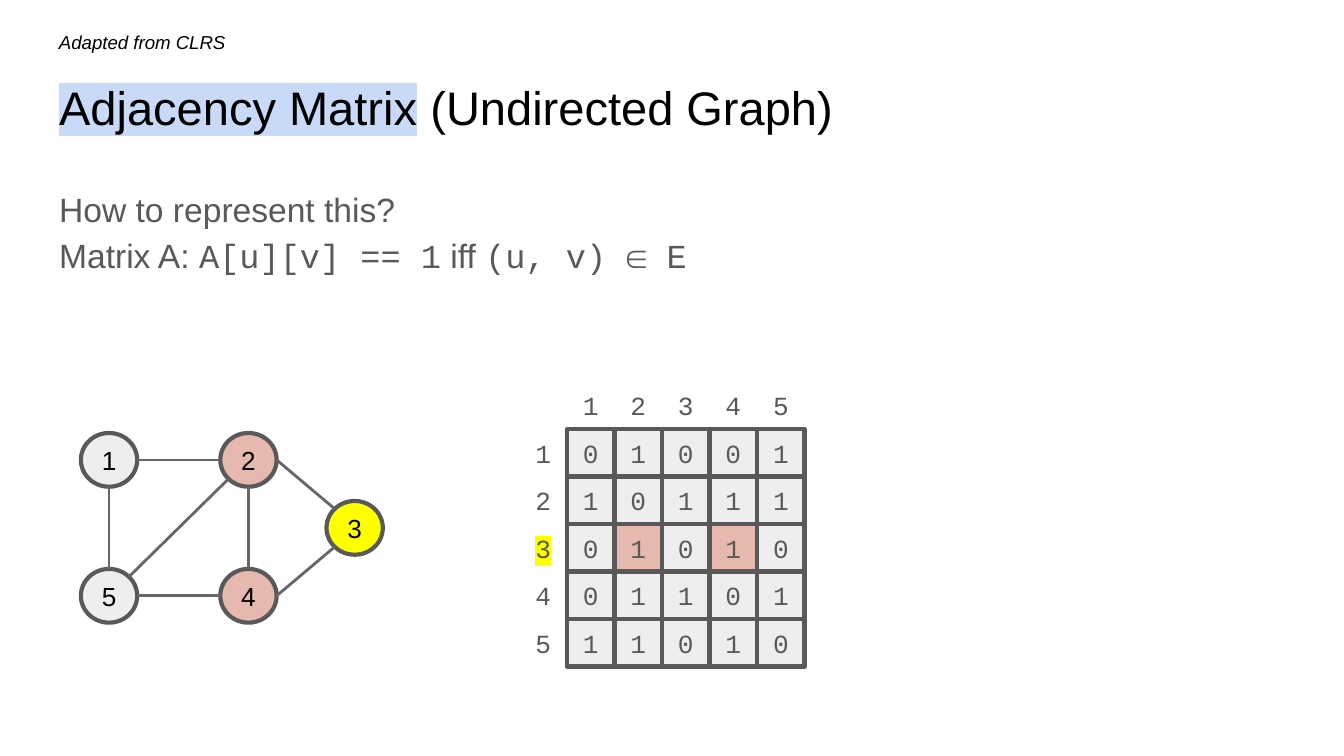
from math import sqrt

from lxml import etree
from pptx import Presentation
from pptx.dml.color import RGBColor
from pptx.enum.shapes import MSO_CONNECTOR, MSO_SHAPE
from pptx.enum.text import MSO_ANCHOR, MSO_AUTO_SIZE, PP_ALIGN
from pptx.oxml.ns import qn
from pptx.util import Pt

OVAL, SQUARE = MSO_SHAPE.OVAL, MSO_SHAPE.RECTANGLE
STRAIGHT = MSO_CONNECTOR.STRAIGHT
TOP, MIDDLE = MSO_ANCHOR.TOP, MSO_ANCHOR.MIDDLE
LEFT, CENTER = PP_ALIGN.LEFT, PP_ALIGN.CENTER
NO_AUTOFIT = MSO_AUTO_SIZE.NONE

BLACK = RGBColor(0x00, 0x00, 0x00)
DARK_GRAY = RGBColor(0x59, 0x59, 0x59)
EDGE_GRAY = RGBColor(0x66, 0x66, 0x66)
LIGHT_GRAY = RGBColor(0xEE, 0xEE, 0xEE)
PINK = RGBColor(0xE6, 0xB8, 0xAF)
YELLOW = RGBColor(0xFF, 0xFF, 0x00)
PALE_BLUE = RGBColor(0xC9, 0xDA, 0xF8)

SANS, MONO = "Arial", "Courier New"
TITLE_FONT = {"name": SANS, "size": Pt(25.2)}
SOURCE_FONT = {"name": SANS, "size": Pt(10), "italic": True}
BODY_FONT = {"name": SANS, "size": Pt(18)}
CODE_FONT = {"name": MONO, "size": Pt(18)}
NODE_FONT = {"name": SANS, "size": Pt(14)}
CELL_FONT = {"name": MONO, "size": Pt(14)}

MARGIN, CONTENT_WIDTH, INSET = 24.5, 671, 7.2
NODE_WIDTH, NODE_HEIGHT = 30.2, 28.8
CELL, MATRIX_LEFT, MATRIX_TOP = 25.45, 303.8, 229.9

NODE_CENTERS = {
    1: (58.4, 246.4),
    2: (133.1, 246.4),
    3: (190, 282.8),
    4: (133.1, 319.2),
    5: (58.4, 319.2),
}
EDGES = {
    (1, 2): ("right", "left"),
    (1, 5): ("bottom", "top"),
    (2, 5): ("bottom left", "top right"),
    (4, 5): ("left", "right"),
    (2, 4): ("bottom", "top"),
    (3, 4): ("bottom left", "right"),
    (2, 3): ("right", "top left"),
}
DIRECTIONS = {"left": (-1, 0), "right": (1, 0), "top": (0, -1), "bottom": (0, 1)}
CURRENT = 3


def adjacent(u, v):
    return (u, v) in EDGES or (v, u) in EDGES


def apply_format(target, values):
    for attribute, value in values.items():
        setattr(target, attribute, value)


def add_run(paragraph, text, font, color, highlight=None):
    run = paragraph.add_run()
    run.text = text
    apply_format(run.font, font)
    run.font.color.rgb = color
    if highlight is not None:
        mark = etree.Element(qn("a:highlight"))
        etree.SubElement(mark, qn("a:srgbClr")).set("val", str(highlight))
        run.font.fill  
        run._r.rPr.find(qn("a:solidFill")).addnext(mark)


def format_frame(frame, inset, anchor, alignment):
    sides = ("margin_left", "margin_top", "margin_right", "margin_bottom")
    apply_format(frame, dict.fromkeys(sides, Pt(inset)))
    apply_format(frame, {"word_wrap": True, "auto_size": NO_AUTOFIT, "vertical_anchor": anchor})
    paragraph = frame.paragraphs[0]
    apply_format(paragraph, {"alignment": alignment, "space_before": Pt(0)})
    return paragraph


def place_text(holder, top, height):
    box = {"left": MARGIN, "top": top, "width": CONTENT_WIDTH, "height": height}
    apply_format(holder, {side: Pt(length) for side, length in box.items()})
    return format_frame(holder.text_frame, INSET, TOP, LEFT)


def add_title(slide):
    heading = place_text(slide.shapes.title, 35, 45.4)
    add_run(heading, "Adjacency Matrix", TITLE_FONT, BLACK, PALE_BLUE)
    add_run(heading, " (Undirected Graph)", TITLE_FONT, BLACK)


def add_source(slide):
    credit = slide.shapes.add_textbox(Pt(MARGIN), Pt(9.4), Pt(108.7), Pt(20.9))
    line = format_frame(credit.text_frame, INSET, TOP, LEFT)
    add_run(line, "Adapted from CLRS", SOURCE_FONT, BLACK)


def add_body(slide):
    definition = place_text(slide.placeholders[1], 90.7, 92.9)
    properties = definition._p.get_or_add_pPr()
    properties.set("marL", "0")
    properties.set("indent", "0")
    etree.SubElement(properties, qn("a:buNone"))
    apply_format(definition, {"line_spacing": 1.15, "space_after": Pt(12)})
    add_run(definition, "How to represent this?", BODY_FONT, DARK_GRAY)
    definition.add_line_break()
    for text, font in (
        ("Matrix A: ", BODY_FONT),
        ("A[u][v] == 1", CODE_FONT),
        (" iff ", BODY_FONT),
        ("(u, v) ∈ E", CODE_FONT),
    ):
        add_run(definition, text, font, DARK_GRAY)


def add_tile(slide, outline, box, text, fill, font, color):
    tile = slide.shapes.add_shape(outline, *map(Pt, box))
    tile.shadow.inherit = False
    tile.fill.solid()
    tile.fill.fore_color.rgb = fill
    tile.line.color.rgb = DARK_GRAY
    tile.line.width = Pt(2.25)
    add_run(format_frame(tile.text_frame, 0, MIDDLE, CENTER), text, font, color)


def add_node(slide, node):
    x, y = NODE_CENTERS[node]
    fill = YELLOW if node == CURRENT else PINK if adjacent(CURRENT, node) else LIGHT_GRAY
    box = (x - NODE_WIDTH / 2, y - NODE_HEIGHT / 2, NODE_WIDTH, NODE_HEIGHT)
    add_tile(slide, OVAL, box, str(node), fill, NODE_FONT, BLACK)


def rim_point(node, site):
    x, y = NODE_CENTERS[node]
    steps = [DIRECTIONS[word] for word in site.split()]
    dx, dy = (sum(axis) / sqrt(len(steps)) for axis in zip(*steps))
    return Pt(x + dx * NODE_WIDTH / 2), Pt(y + dy * NODE_HEIGHT / 2)


def add_edge(slide, nodes, sites):
    start, end = map(rim_point, nodes, sites)
    edge = slide.shapes.add_connector(STRAIGHT, *start, *end)
    edge.line.color.rgb = EDGE_GRAY
    edge.line.width = Pt(1.5)
    etree.SubElement(edge._element.spPr, qn("a:effectLst"))


def cell_box(row, column):
    return MATRIX_LEFT + (column - 1) * CELL, MATRIX_TOP + (row - 1) * CELL, CELL, CELL


def add_index(slide, row, column, text, highlight=None):
    index = slide.shapes.add_textbox(*map(Pt, cell_box(row, column)))
    line = format_frame(index.text_frame, 0, MIDDLE, CENTER)
    add_run(line, text, CELL_FONT, DARK_GRAY, highlight)


def add_matrix(slide):
    for u in NODE_CENTERS:
        for v in NODE_CENTERS:
            linked = adjacent(u, v)
            fill = PINK if linked and u == CURRENT else LIGHT_GRAY
            add_tile(slide, SQUARE, cell_box(u, v), str(int(linked)), fill, CELL_FONT, DARK_GRAY)
    for node in NODE_CENTERS:
        add_index(slide, node, 0, str(node), YELLOW if node == CURRENT else None)
        add_index(slide, 0, node, str(node))


def main():
    deck = Presentation()
    apply_format(deck, {"slide_width": Pt(720), "slide_height": Pt(405)})
    slide = deck.slides.add_slide(deck.slide_layouts[1])
    add_title(slide)
    add_source(slide)
    add_body(slide)
    for node in NODE_CENTERS:
        add_node(slide, node)
    for nodes, sites in EDGES.items():
        add_edge(slide, nodes, sites)
    add_matrix(slide)
    deck.save("out.pptx")


if __name__ == "__main__":
    main()
